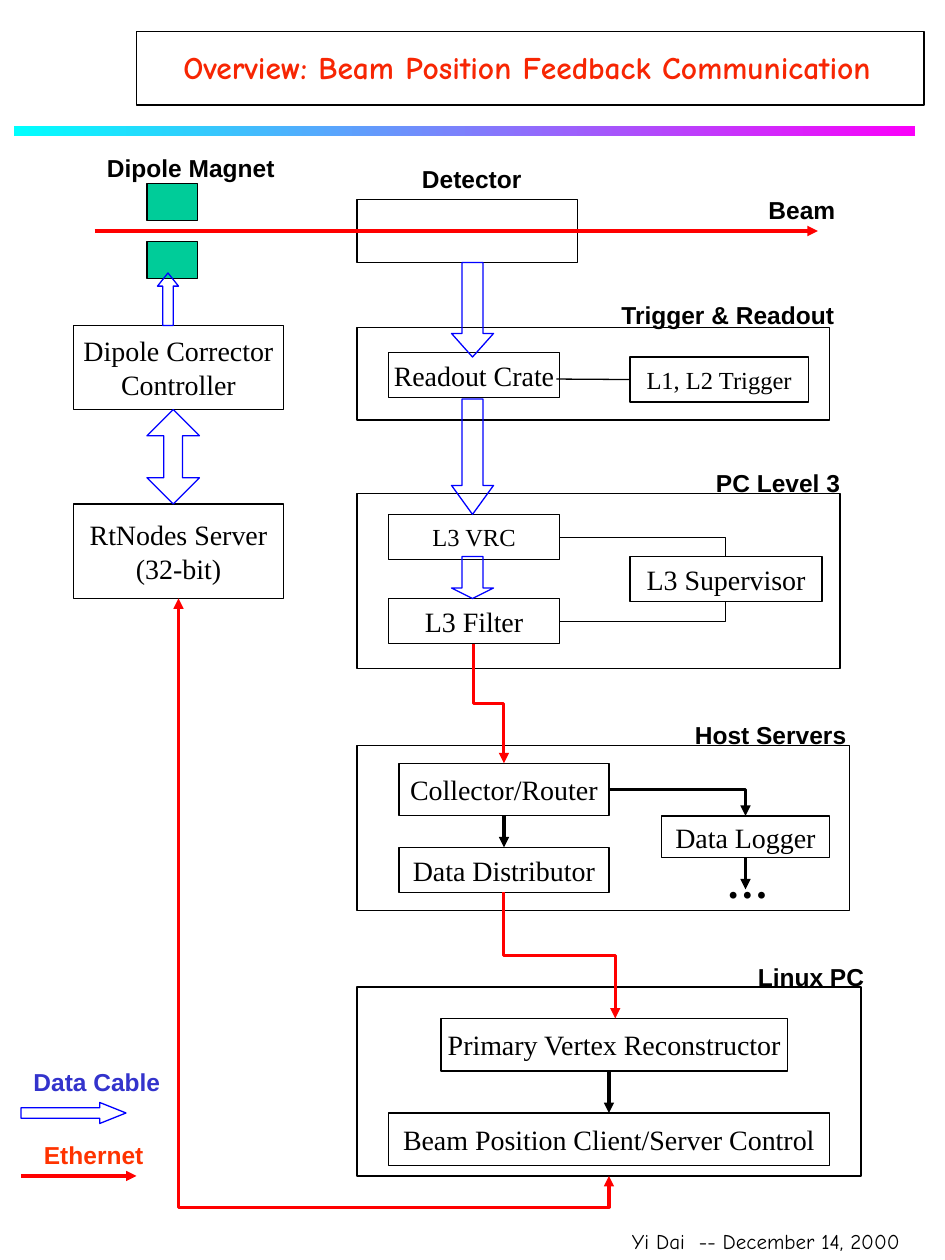
from lxml.etree import SubElement
from pptx import Presentation
from pptx.dml.color import RGBColor
from pptx.enum.shapes import MSO_CONNECTOR as Connector, MSO_SHAPE as Shape
from pptx.enum.text import MSO_ANCHOR as Anchor, PP_ALIGN as Align
from pptx.oxml.ns import qn
from pptx.util import Pt

PX = 914400 // 120
WIDTH, HEIGHT = 900, 1200
BLACK = RGBColor(0, 0, 0)
RED = RGBColor(0xFF, 0, 0)
BLUE = RGBColor(0, 0, 0xFF)
GREEN = RGBColor(0, 0xCC, 0x99)
INDIGO = RGBColor(0x33, 0x33, 0xCC)
ORANGE = RGBColor(0xFF, 0x33, 0)
TITLE_RED = RGBColor(0xF7, 0x26, 0x03)
CYAN = RGBColor(0, 0xFF, 0xFE)
MAGENTA = RGBColor(0xFA, 0, 0xFA)
SERIF, SANS, COMIC = "Times New Roman", "Arial", "Comic Neue"

BAND = (13, 120, 859, 10)
TITLE_FRAME = (130, 30, 750, 70)
FRAMES = [
    (340, 190, 210, 60),
    (340, 312, 450, 88),
    (340, 470, 460, 167),
    (340, 710, 469, 157),
    (340, 940, 480, 180),
]
MAGNETS = [(140, 175, 48, 35), (140, 230, 48, 35)]
BOXES = {
    "readout": ("Readout Crate", 16, (370, 336, 163, 43)),
    "trigger": ("L1, L2 Trigger", 14, (600, 340, 170, 43)),
    "vrc": ("L3 VRC", 14, (370, 490, 163, 43)),
    "filter": ("L3 Filter", 16, (370, 570, 163, 43)),
    "supervisor": ("L3 Supervisor", 16, (600, 530, 183, 43)),
    "collector": ("Collector/Router", 16, (380, 727, 200, 50)),
    "distributor": ("Data Distributor", 16, (380, 807, 200, 43)),
    "logger": ("Data Logger", 16, (630, 777, 160, 40)),
    "corrector": ("Dipole Corrector\nController", 16, (70, 310, 200, 80)),
    "server": ("RtNodes Server\n(32-bit)", 16, (70, 480, 200, 90)),
    "vertex": ("Primary Vertex Reconstructor", 16, (420, 970, 330, 50)),
    "control": ("Beam Position Client/Server Control", 16, (370, 1060, 420, 50)),
}
BLOCK_ARROWS = [
    (Shape.DOWN_ARROW, (430, 250, 40, 90), 0.56),
    (Shape.DOWN_ARROW, (430, 380, 40, 110), 0.69),
    (Shape.DOWN_ARROW, (430, 530, 40, 40), 0.25),
    (Shape.UP_DOWN_ARROW, (140, 390, 50, 90), 0.36),
    (Shape.UP_ARROW, (150, 260, 20, 50), 0.63),
    (Shape.RIGHT_ARROW, (20, 1050, 100, 20), 1.25),
]
TOP, BOTTOM, LEFT = 0, 2, 1
STRAIGHT_LINES = [
    ((90, 220), (779, 220), RED, 2, True, None, None),
    ((530, 361), (600, 361), BLACK, 0.75, False, None, ("trigger", LEFT)),
    ((480, 777), (480, 807), BLACK, 1.75, True, ("collector", BOTTOM), ("distributor", TOP)),
    ((710, 817), (710, 847), BLACK, 1.75, True, ("logger", BOTTOM), None),
    ((580, 1020), (580, 1060), BLACK, 1.75, True, None, ("control", TOP)),
    ((20, 1120), (130, 1120), RED, 1.75, True, None, None),
]
CORNERS = [
    ((533, 512), (691, 530), 0.75, False),
    ((533, 592), (691, 573), 0.75, False),
    ((580, 752), (710, 777), 1.75, True),
]
ETHERNET_STEPS = [
    ((480, 850), (586, 970), 0.5, False),
    ((451, 613), (480, 727), 0.5, False),
    ((170, 570), (580, 1120), 1.054, True),
]
LABELS = [
    ("Overview: Beam Position Feedback Communication", (163, 40, 679, 48), 18, COMIC, TITLE_RED, True, False),
    ("Yi Dai  -- December 14, 2000", (590, 1164, 310, 36), 12, COMIC, BLACK, False, True),
    ("Beam", (720, 180, 88, 41), 14, SANS, BLACK, True, False),
    ("Dipole Magnet", (90, 140, 184, 41), 14, SANS, BLACK, True, False),
    ("Detector", (390, 150, 119, 41), 14, SANS, BLACK, True, False),
    ("Trigger & Readout", (580, 280, 228, 41), 14, SANS, BLACK, True, True),
    ("PC Level 3", (670, 440, 160, 41), 14, SANS, BLACK, True, True),
    ("Host Servers", (650, 680, 190, 41), 14, SANS, BLACK, True, True),
    ("Linux PC", (710, 910, 130, 41), 14, SANS, BLACK, True, True),
    ("…", (680, 810, 64, 60), 24, SERIF, BLACK, True, False),
    ("Data Cable", (20, 1010, 160, 41), 14, SANS, INDIGO, True, True),
    ("Ethernet", (30, 1080, 119, 41), 14, SANS, ORANGE, True, False),
]

presentation = Presentation()
presentation.slide_width, presentation.slide_height = WIDTH * PX, HEIGHT * PX
slide = presentation.slides.add_slide(presentation.slide_layouts[6])


def emu(lengths):
    return [length * PX for length in lengths]


def add_shape(kind, place, line=BLACK, fill=None, weight=0.75):
    shape = slide.shapes.add_shape(kind, *emu(place))
    shape.shadow.inherit = False
    if fill is None:
        shape.fill.background()
    else:
        shape.fill.solid()
        shape.fill.fore_color.rgb = fill
    shape.line.color.rgb = line
    shape.line.width = Pt(weight)
    return shape


def write(shape, text, size, font, color, bold=False, wrap=False, align=Align.LEFT):
    frame = shape.text_frame
    frame.word_wrap = wrap
    frame.text = text
    for paragraph in frame.paragraphs:
        paragraph.alignment = align
        paragraph.font.size = Pt(size)
        paragraph.font.name = font
        paragraph.font.bold = bold
        paragraph.font.color.rgb = color


def add_line(kind, start, end, color, weight, tail, head=False):
    line = slide.shapes.add_connector(kind, *emu(start + end))
    line.line.color.rgb = color
    line.line.width = Pt(weight)
    outline = line.line._get_or_add_ln()
    for shown, tag in ((head, "a:headEnd"), (tail, "a:tailEnd")):
        if shown:
            SubElement(outline, qn(tag), type="triangle")
    SubElement(line._element.spPr, qn("a:effectLst"))
    return line


def add_corner(start, end, weight, tail):
    line = add_line(Connector.ELBOW, start, end, BLACK, weight, tail)
    line._element.spPr.find(qn("a:prstGeom")).set("prst", "bentConnector2")


def add_step(start, end, bend, head):
    line = add_line(Connector.ELBOW, start, end, RED, 1.75, True, head)
    across, down = end[0] - start[0], end[1] - start[1]
    line.left = (start[0] + end[0] - down) * PX // 2
    line.top = (start[1] + end[1] - across) * PX // 2
    line.width, line.height = down * PX, across * PX
    properties = line._element.spPr
    transform = properties.find(qn("a:xfrm"))
    transform.set("rot", str(270 * 60000))
    transform.set("flipH", "1")
    guides = properties.find(qn("a:prstGeom")).find(qn("a:avLst"))
    SubElement(guides, qn("a:gd"), name="adj1", fmla=f"val {round(bend * 100000)}")


band = add_shape(Shape.RECTANGLE, BAND)
band.line.fill.background()
band.fill.gradient()
band.fill.gradient_angle = 0
for stop, color in zip(band.fill.gradient_stops, (CYAN, MAGENTA)):
    stop.color.rgb = color

add_shape(Shape.RECTANGLE, TITLE_FRAME, weight=1)
for place in FRAMES:
    add_shape(Shape.RECTANGLE, place)
for place in MAGNETS:
    add_shape(Shape.RECTANGLE, place, fill=GREEN)

boxes = {}
for name, (text, size, place) in BOXES.items():
    boxes[name] = add_shape(Shape.RECTANGLE, place)
    boxes[name].text_frame.vertical_anchor = Anchor.MIDDLE
    write(boxes[name], text, size, SERIF, BLACK, align=Align.CENTER)

for kind, place, head_length in BLOCK_ARROWS:
    arrow = add_shape(kind, place, BLUE)
    arrow.adjustments[0] = 0.5
    arrow.adjustments[1] = head_length

for start, end, color, weight, tail, source, target in STRAIGHT_LINES:
    line = add_line(Connector.STRAIGHT, start, end, color, weight, tail)
    if source:
        line.begin_connect(boxes[source[0]], source[1])
    if target:
        line.end_connect(boxes[target[0]], target[1])

for corner in CORNERS:
    add_corner(*corner)
for step in ETHERNET_STEPS:
    add_step(*step)

for text, place, size, font, color, bold, wrap in LABELS:
    write(slide.shapes.add_textbox(*emu(place)), text, size, font, color, bold, wrap)

presentation.save("out.pptx")
